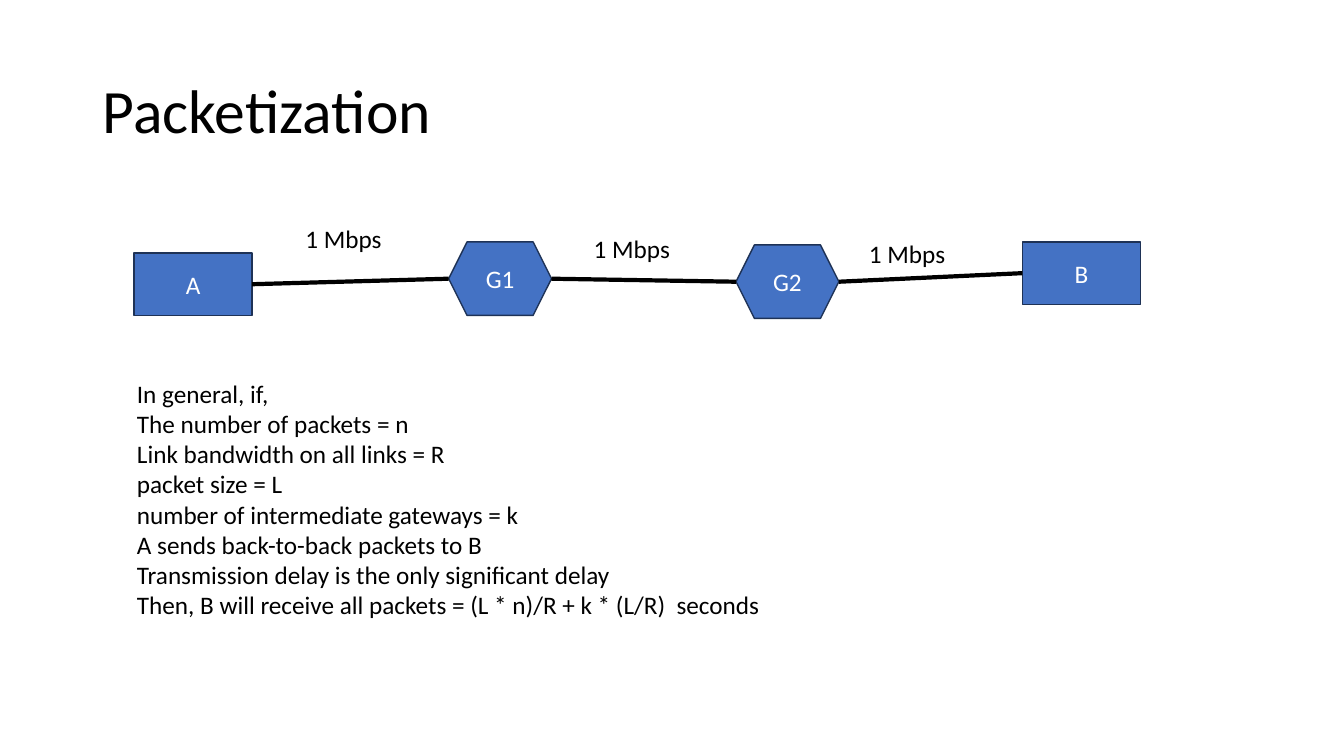
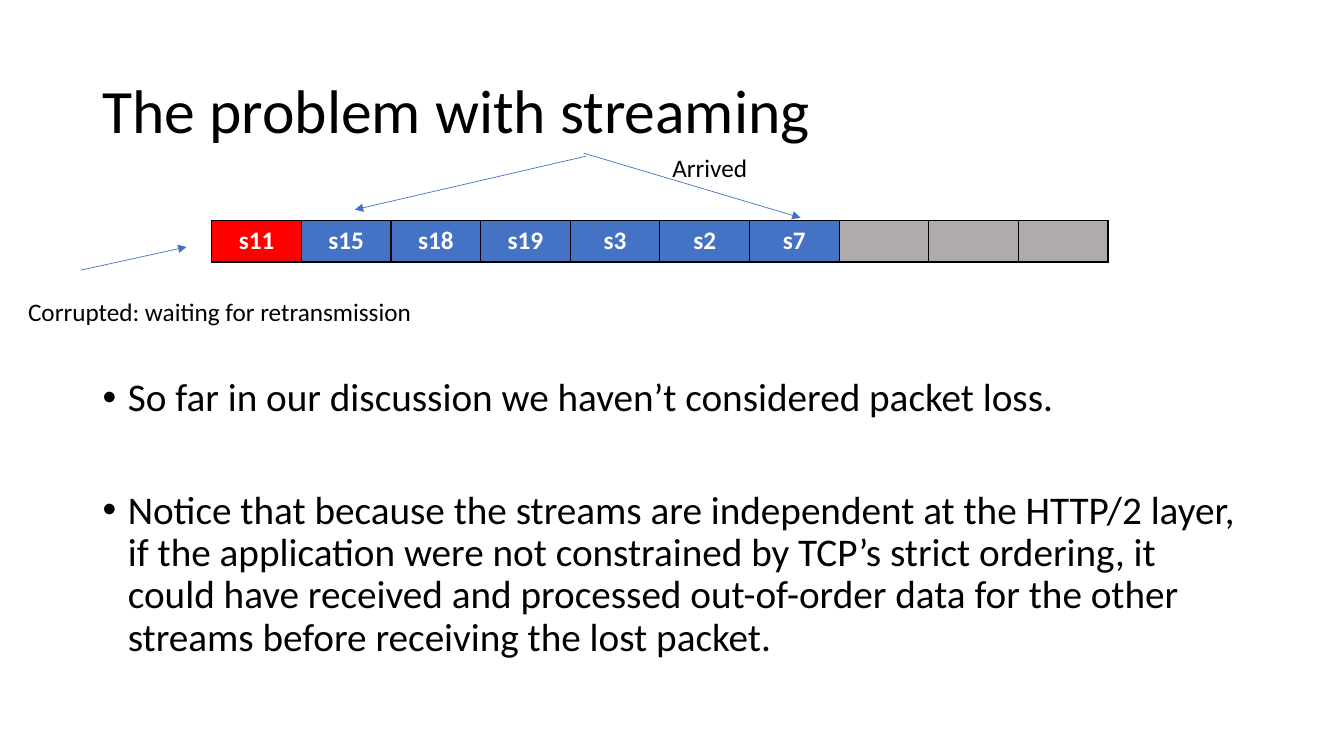
import pptx
import pptx.dml.color
import pptx.enum.shapes
import pptx.enum.text
import pptx.oxml
import pptx.oxml.ns
import pptx.util
from pptx.util import Inches

RGBColor = pptx.dml.color.RGBColor
BLACK = RGBColor(0x00, 0x00, 0x00)
WHITE = RGBColor(0xFF, 0xFF, 0xFF)
BLUE = RGBColor(0x44, 0x72, 0xC4)
NAVY = RGBColor(0x1E, 0x32, 0x56)
RED = RGBColor(0xFF, 0x00, 0x00)
GRAY = RGBColor(0xAF, 0xAB, 0xAB)

FONT = "Calibri"
MSO_SHAPE = pptx.enum.shapes.MSO_SHAPE
ANCHOR = pptx.enum.text.MSO_ANCHOR
CENTER = pptx.enum.text.PP_ALIGN.CENTER

TITLE_BOX = (0.92, 0.4, 11.5, 1.45)
NETWORK_BOX = (1.33, 2.17, 9.98, 0.99)
FORMULA_BOX = (1.26, 3.7, 10.15, 2.52)
STREAM_BOX = (0.18, 1.46, 11.18, 1.83)
BULLETS_BOX = (0.92, 3.7, 11.5, 3.06)

FORMULA_LINES = [
    "In general, if,",
    "The number of packets = n",
    "Link bandwidth on all links = R",
    "packet size = L",
    "number of intermediate gateways = k",
    "A sends back-to-back packets to B",
    "Transmission delay is the only significant delay",
    "Then, B will receive all packets = (L * n)/R + k * (L/R)  seconds",
]
BULLETS = [
    "So far in our discussion we haven’t considered packet loss.",
    "Notice that because the streams are independent at the HTTP/2 layer, "
    "if the application were not constrained by TCP’s strict ordering, "
    "it could have received and processed out-of-order data for the other "
    "streams before receiving the lost packet.",
]
SEGMENTS = (
    [("s11", RED)]
    + [(name, BLUE) for name in ("s15", "s18", "s19", "s3", "s2", "s7")]
    + [("", GRAY)] * 3
)


def drawing_element(tag, parent, **attributes):
    element = pptx.oxml.parse_xml(f"<a:{tag} {pptx.oxml.ns.nsdecls('a')}/>")
    for name, value in attributes.items():
        element.set(name, str(value))
    parent.append(element)
    return element


def style(paragraph, size=18, color=BLACK, bold=False):
    for run in paragraph.runs:
        run.font.name = FONT
        run.font.size = pptx.util.Pt(size)
        run.font.color.rgb = color
        run.font.bold = bold


def add_text(slide, box, lines, size=18):
    frame = slide.shapes.add_textbox(*map(Inches, box)).text_frame
    frame.word_wrap = True
    frame.text = "\n".join(lines)
    for paragraph in frame.paragraphs:
        style(paragraph, size)
    return frame


def add_line(slide, start, end, color, width, arrow=False):
    line = slide.shapes.add_connector(
        pptx.enum.shapes.MSO_CONNECTOR.STRAIGHT, *map(Inches, start + end))
    line.line.color.rgb = color
    line.line.width = pptx.util.Pt(width)
    if arrow:
        drawing_element("tailEnd", line.line._get_or_add_ln(), type="triangle")
    drawing_element("effectLst", line._element.spPr)


def add_title(slide, text):
    frame = add_text(slide, TITLE_BOX, [text], 44)
    frame.vertical_anchor = ANCHOR.MIDDLE
    frame.paragraphs[0].line_spacing = 0.9


def add_node(slide, kind, box, name):
    node = slide.shapes.add_shape(kind, *map(Inches, box))
    node.shadow.inherit = False
    node.fill.solid()
    node.fill.fore_color.rgb = BLUE
    node.line.color.rgb = NAVY
    node.line.width = pptx.util.Pt(1)
    frame = node.text_frame
    frame.text = name
    frame.vertical_anchor = ANCHOR.MIDDLE
    frame.paragraphs[0].alignment = CENTER
    style(frame.paragraphs[0], color=WHITE)


def add_network(slide, box):
    left, top = box[:2]
    host = (MSO_SHAPE.RECTANGLE, 1.17, 0.62)
    gateway = (MSO_SHAPE.HEXAGON, 1.02, 0.73)
    nodes = [
        ("A", host, 0, 0.34),
        ("G1", gateway, 3.12, 0.23),
        ("G2", gateway, 5.97, 0.26),
        ("B", host, 8.81, 0.23),
    ]
    ends = []
    for name, (kind, width, height), x, y in nodes:
        x, y = left + x, top + y
        add_node(slide, kind, (x, y, width, height), name)
        middle = y + height / 2
        ends.append(((x, middle), (x + width, middle)))
    for (_, start), (end, _) in zip(ends, ends[1:]):
        add_line(slide, start, end, BLACK, 3)
    for x, y in ((1.6, 0), (4.46, 0.1), (7.19, 0.15)):
        add_text(slide, (left + x, top + y, 1.02, 0.4), ["1 Mbps"])


def add_segments(slide, box):
    table = slide.shapes.add_table(
        1, len(SEGMENTS), *map(Inches, box)).table
    table.first_row = False
    table.horz_banding = False
    for column, (name, color) in enumerate(SEGMENTS):
        table.columns[column].width = Inches(box[2] / len(SEGMENTS))
        cell = table.cell(0, column)
        for side in ("lnL", "lnR", "lnT", "lnB"):
            border = drawing_element(
                side, cell._tc.get_or_add_tcPr(), w=pptx.util.Pt(1))
            drawing_element(
                "srgbClr", drawing_element("solidFill", border), val=BLACK)
        cell.fill.solid()
        cell.fill.fore_color.rgb = color
        cell.text_frame.text = name
        cell.text_frame.paragraphs[0].alignment = CENTER
        style(cell.text_frame.paragraphs[0], color=WHITE, bold=True)


def add_stream(slide, box):
    left, top = box[:2]
    add_segments(slide, (left + 1.92, top + 0.73, 8.89, 0.41))
    arrows = [
        ((0.62, 1.22), (1.67, 0.99)),
        ((5.63, 0.09), (3.34, 0.62)),
        ((5.61, 0.06), (7.76, 0.7)),
    ]
    for (x1, y1), (x2, y2) in arrows:
        add_line(slide, (left + x1, top + y1), (left + x2, top + y2),
                 BLUE, 0.5, arrow=True)
    labels = [
        ("Corrupted: waiting for retransmission", 0, 1.43),
        ("Arrived", 6.39, 0),
    ]
    for text, x, y in labels:
        add_text(slide, (left + x, top + y, 4.79, 0.4), [text])


def add_bullets(slide, box):
    frame = add_text(slide, box, BULLETS, 28)
    for index, paragraph in enumerate(frame.paragraphs):
        properties = paragraph._p.get_or_add_pPr()
        properties.set("marL", str(Inches(0.25)))
        properties.set("indent", str(Inches(-0.25)))
        drawing_element("buFont", properties, typeface="Arial")
        drawing_element("buChar", properties, char="•")
        paragraph.line_spacing = 0.9
        if index:
            paragraph.space_before = pptx.util.Pt(50)


def packetization_slide(slide):
    add_title(slide, "Packetization")
    add_network(slide, NETWORK_BOX)
    add_text(slide, FORMULA_BOX, FORMULA_LINES)


def streaming_slide(slide):
    add_title(slide, "The problem with streaming")
    add_bullets(slide, BULLETS_BOX)
    add_stream(slide, STREAM_BOX)


def main():
    deck = pptx.Presentation()
    deck.slide_width = Inches(13.33)
    deck.slide_height = Inches(7.5)
    for build in (packetization_slide, streaming_slide):
        build(deck.slides.add_slide(deck.slide_layouts[6]))
    deck.save("out.pptx")


if __name__ == "__main__":
    main()
